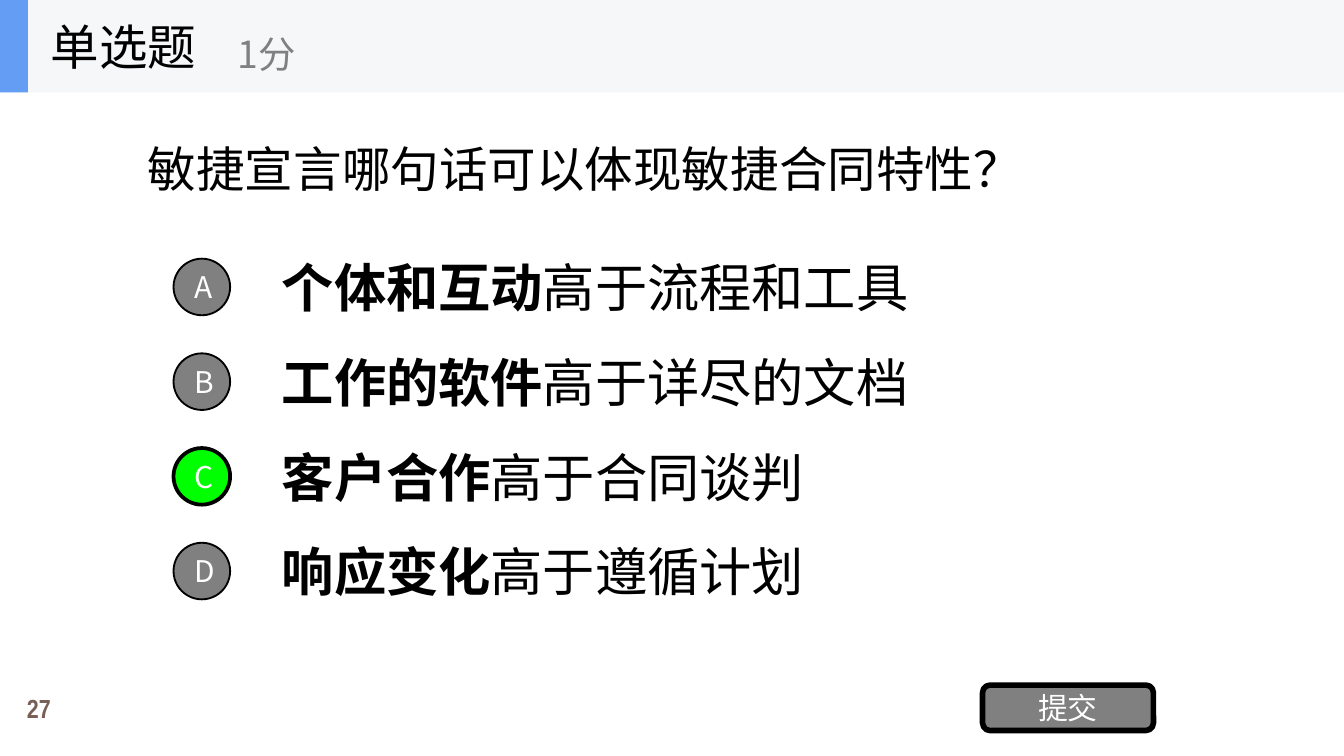
import pptx
import pptx.util
import pptx.dml.color
import pptx.enum.shapes
import pptx.enum.text
import pptx.oxml
import pptx.oxml.ns

Cm = pptx.util.Cm
Pt = pptx.util.Pt
RGBColor = pptx.dml.color.RGBColor
SHAPE = pptx.enum.shapes.MSO_SHAPE
ALIGN = pptx.enum.text.PP_ALIGN
ANCHOR = pptx.enum.text.MSO_ANCHOR
AUTOSIZE = pptx.enum.text.MSO_AUTO_SIZE

BLACK = RGBColor(0x00, 0x00, 0x00)
WHITE = RGBColor(0xFF, 0xFF, 0xFF)
GREY = RGBColor(0x80, 0x80, 0x80)
GREEN = RGBColor(0x00, 0xFF, 0x00)
BAR = RGBColor(0xF6, 0xF7, 0xF8)
BLUE = RGBColor(0x63, 0x9E, 0xF4)
BROWN = RGBColor(0x77, 0x5F, 0x55)
CJK = "Noto Sans CJK SC"
NARROW = "Arial Narrow"

WIDTH, HEIGHT = 25.4, 14.29
HEADER_H = 1.75
OPTION_TOP, OPTION_STEP, OPTION_H = 4.75, 1.79, 1.35
CIRCLE = 1.07
OPTIONS = [
    ("A", "个体和互动", "高于流程和工具"),
    ("B", "工作的软件", "高于详尽的文档"),
    ("C", "客户合作", "高于合同谈判"),
    ("D", "响应变化", "高于遵循计划"),
]
ANSWER = "C"


class QuizSlide:
    def __init__(self, prs):
        self.s = prs.slides.add_slide(prs.slide_layouts[5])

    def fill_text(self, sp, runs, size, color, font=CJK, align=ALIGN.LEFT, spacing=1.0):
        tf = sp.text_frame
        frame = {"word_wrap": True, "auto_size": AUTOSIZE.NONE,
                 "vertical_anchor": ANCHOR.MIDDLE}
        for name, value in frame.items():
            setattr(tf, name, value)
        p = tf.paragraphs[0]
        p.alignment = align
        p.line_spacing = spacing
        for text, bold in runs:
            r = p.add_run()
            r.text = text
            for name, value in {"size": Pt(size), "name": font, "bold": bold}.items():
                setattr(r.font, name, value)
            r.font.color.rgb = color
            ea = pptx.oxml.parse_xml(
                f'<a:ea {pptx.oxml.ns.nsdecls("a")} typeface="{CJK}"/>')
            r.font._element.find(pptx.oxml.ns.qn("a:latin")).addnext(ea)

    def title(self, box, text, size):
        sp = self.s.shapes.title
        for name, value in zip(("left", "top", "width", "height"), box):
            setattr(sp, name, Cm(value))
        self.fill_text(sp, [(text, False)], size, BLACK)

    def text(self, box, runs, size, color=BLACK, **style):
        sp = self.s.shapes.add_textbox(*map(Cm, box))
        self.fill_text(sp, runs, size, color, **style)

    def shape(self, kind, box, fill, line=0, label=None):
        sp = self.s.shapes.add_shape(kind, *map(Cm, box))
        sp.shadow.inherit = False
        sp.fill.solid()
        sp.fill.fore_color.rgb = fill
        if line:
            sp.line.color.rgb = BLACK
            sp.line.width = Pt(line)
        else:
            sp.line.fill.background()
        if label:
            self.fill_text(sp, [(label, False)], 16, WHITE, align=ALIGN.CENTER)


def main():
    prs = pptx.Presentation()
    prs.slide_width, prs.slide_height = Cm(WIDTH), Cm(HEIGHT)
    quiz = QuizSlide(prs)

    quiz.title((2.54, HEADER_H, 20.32, 2.84), "敏捷宣言哪句话可以体现敏捷合同特性？", 26)
    quiz.text((0, 13.03, 1.47, 0.79), [("27", True)], 14, BROWN,
              font=NARROW, align=ALIGN.CENTER, spacing=0.9)

    for i, (letter, value, rest) in enumerate(OPTIONS):
        top = OPTION_TOP + i * OPTION_STEP
        quiz.text((5.08, top, 17.78, OPTION_H), [(value, True), (rest, False)],
                  28, font=NARROW)
        correct = letter == ANSWER
        quiz.shape(SHAPE.OVAL, (3.28, top + (OPTION_H - CIRCLE) / 2, CIRCLE, CIRCLE),
                   GREEN if correct else GREY, 2 if correct else 1, letter)

    quiz.shape(SHAPE.ROUNDED_RECTANGLE, (18.57, 12.95, 3.23, 0.86), GREY, 3, "提交")

    quiz.shape(SHAPE.RECTANGLE, (0, 0, WIDTH, HEADER_H), BAR)
    quiz.shape(SHAPE.RECTANGLE, (0, 0, 0.53, HEADER_H), BLUE)
    quiz.text((0.71, 0, 5.28, HEADER_H), [("单选题", False)], 26)
    quiz.text((4.24, 0.3, 6.35, 1.42), [("1分", False)], 20, GREY)

    prs.save("out.pptx")


if __name__ == "__main__":
    main()
